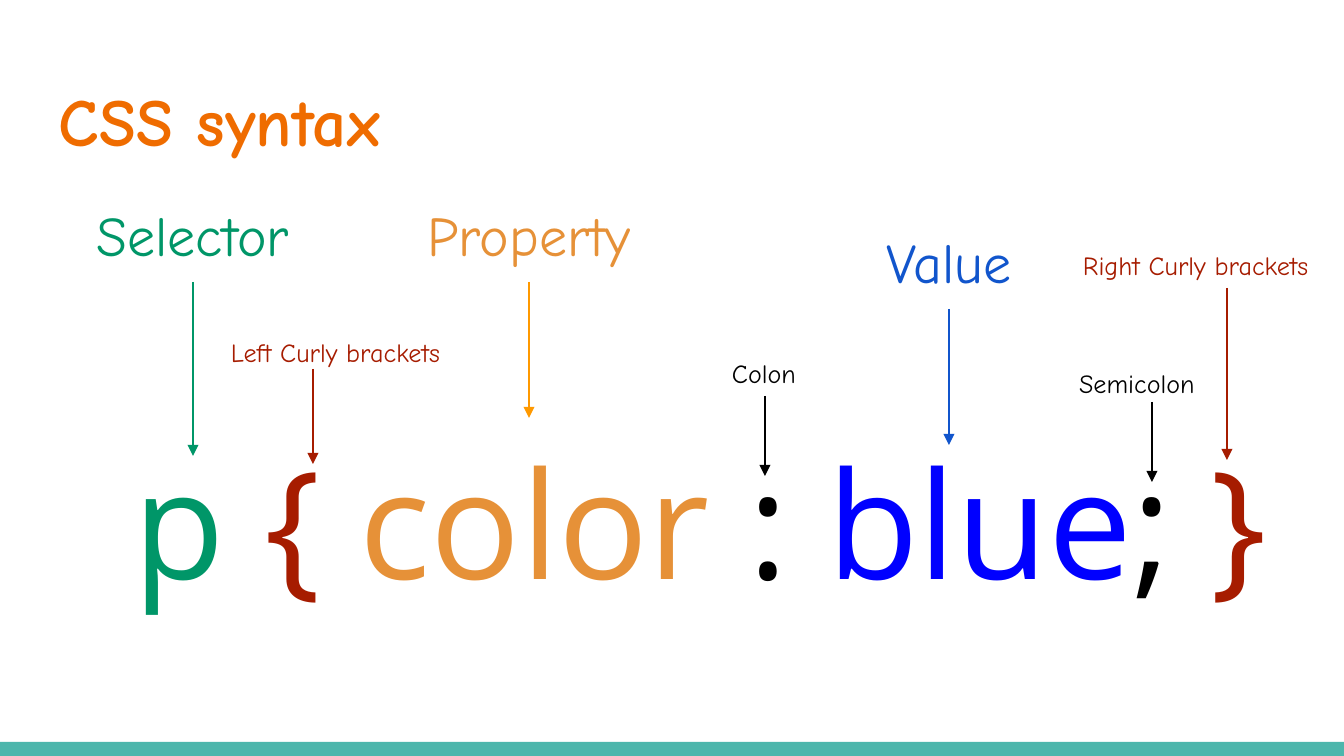
"""Build a slide that names the parts of a CSS rule."""
from dataclasses import dataclass

from lxml import etree
from pptx import Presentation
from pptx import util as u
from pptx.dml.color import RGBColor
from pptx.enum import shapes, text
from pptx.oxml.ns import qn

EMU_PER_PIXEL = 914400 / 134.4
WIDTH, HEIGHT = 1344, 756
INSET = 13


@dataclass(frozen=True)
class Theme:
    """Fonts, type sizes and colours of the slide."""
    label_font: str = "Comic Neue"
    code_font: str = "Open Sans"
    title_size: int = 36
    code_size: int = 80
    part_size: int = 30
    mark_size: int = 14
    line_width: float = 0.75
    title: str = "EF6C00"
    band: str = "4DB6AC"
    selector: str = "009668"
    bracket: str = "A61C00"
    property: str = "E69138"
    property_arrow: str = "FF9900"
    value: str = "1155CC"
    blue: str = "0000FF"
    mark: str = "000000"


THEME = Theme()


@dataclass(frozen=True)
class Box:
    """A rectangle in pixels."""
    left: int
    top: int
    width: int
    height: int

    def emu(self) -> tuple[int, int, int, int]:
        """Return the rectangle in EMU."""
        return px(self.left), px(self.top), px(self.width), px(self.height)


@dataclass(frozen=True)
class Label:
    """A caption and the vertical arrow from it to the code."""
    caption: str
    box: Box
    size: int
    color: str
    arrow_x: int
    arrow_top: int
    arrow_bottom: int
    arrow_color: str
    align: text.PP_ALIGN = text.PP_ALIGN.LEFT


def px(pixels: float) -> int:
    """Convert pixels to EMU."""
    return round(pixels * EMU_PER_PIXEL)


def part(caption: str, center: int, top: int, arrow_bottom: int,
         color: str, arrow_color: str) -> Label:
    """Make a large label centred above its arrow."""
    width, height = 314, 93
    box = Box(center - width // 2, top, width, height)
    return Label(caption, box, THEME.part_size, color, center, top + height + 1,
                 arrow_bottom, arrow_color, text.PP_ALIGN.CENTER)


def mark(caption: str, box: Box, arrow_x: int, arrow_top: int,
         arrow_bottom: int, color: str) -> Label:
    """Make a small label for a punctuation mark."""
    return Label(caption, box, THEME.mark_size, color, arrow_x, arrow_top,
                 arrow_bottom, color)


LABELS = [
    part("Selector", 193, 188, 456, THEME.selector, THEME.selector),
    part("Property", 529, 188, 418, THEME.property, THEME.property_arrow),
    part("Value", 949, 215, 445, THEME.value, THEME.value),
    mark("Left Curly brackets", Box(218, 323, 269, 52), 313, 369, 464, THEME.bracket),
    mark("Right Curly brackets", Box(1070, 236, 274, 52), 1227, 288, 460, THEME.bracket),
    mark("Colon", Box(719, 344, 129, 60), 765, 396, 476, THEME.mark),
    mark("Semicolon", Box(1066, 354, 172, 60), 1152, 402, 482, THEME.mark),
]

CODE = [
    ("p ", THEME.selector),
    ("{ ", THEME.bracket),
    ("color", THEME.property),
    (" : ", THEME.mark),
    ("blue", THEME.blue),
    ("; ", THEME.mark),
    ("}", THEME.bracket),
]


def prepare_frame(shape, anchor=text.MSO_ANCHOR.TOP):
    """Set insets, wrapping and anchor, and return the first paragraph."""
    frame = shape.text_frame
    frame.margin_left = frame.margin_right = px(INSET)
    frame.margin_top = frame.margin_bottom = px(INSET)
    frame.word_wrap = True
    frame.auto_size = text.MSO_AUTO_SIZE.NONE
    frame.vertical_anchor = anchor
    return frame.paragraphs[0]


def set_font(font, name: str, size: int, color: str, bold: bool = False) -> None:
    """Format a font."""
    font.name, font.size, font.bold = name, u.Pt(size), bold
    font.color.rgb = RGBColor.from_string(color)


def add_band(slide) -> None:
    """Draw the band along the bottom edge."""
    box = Box(0, 742, WIDTH, HEIGHT - 742)
    band = slide.shapes.add_shape(shapes.MSO_SHAPE.RECTANGLE, *box.emu())
    band.shadow.inherit = False
    band.fill.solid()
    band.fill.fore_color.rgb = RGBColor.from_string(THEME.band)
    band.line.fill.background()


def add_title(slide, caption: str) -> None:
    """Place and format the title placeholder."""
    title = slide.shapes.title
    title.left, title.top, title.width, title.height = Box(46, 66, 1252, 103).emu()
    paragraph = prepare_frame(title)
    paragraph.text = caption
    paragraph.alignment = text.PP_ALIGN.LEFT
    set_font(paragraph.font, THEME.label_font, THEME.title_size, THEME.title, True)


def add_code(slide) -> None:
    """Write the CSS rule with one colour for each part."""
    shape = slide.shapes.add_textbox(*Box(121, 414, 1177, 211).emu())
    paragraph = prepare_frame(shape, text.MSO_ANCHOR.MIDDLE)
    for token, color in CODE:
        run = paragraph.add_run()
        run.text = token
        set_font(run.font, THEME.code_font, THEME.code_size, color)


def add_arrow(slide, label: Label) -> None:
    """Draw the arrow of a label."""
    x = px(label.arrow_x)
    arrow = slide.shapes.add_connector(
        shapes.MSO_CONNECTOR.STRAIGHT, x, px(label.arrow_top), x, px(label.arrow_bottom))
    arrow.line.color.rgb = RGBColor.from_string(label.arrow_color)
    arrow.line.width = u.Pt(THEME.line_width)
    properties = arrow.element.spPr
    etree.SubElement(properties.find(qn("a:ln")), qn("a:tailEnd"), type="triangle")
    etree.SubElement(properties, qn("a:effectLst"))


def add_label(slide, label: Label) -> None:
    """Write a label and draw its arrow."""
    paragraph = prepare_frame(slide.shapes.add_textbox(*label.box.emu()))
    paragraph.text = label.caption
    paragraph.alignment = label.align
    set_font(paragraph.font, THEME.label_font, label.size, label.color)
    add_arrow(slide, label)


def main() -> None:
    """Build and save the presentation."""
    presentation = Presentation()
    presentation.slide_width, presentation.slide_height = px(WIDTH), px(HEIGHT)
    title_only = presentation.slide_layouts[5]
    slide = presentation.slides.add_slide(title_only)
    add_band(slide)
    add_title(slide, "CSS syntax")
    add_code(slide)
    for label in LABELS:
        add_label(slide, label)
    presentation.save("out.pptx")


main()
